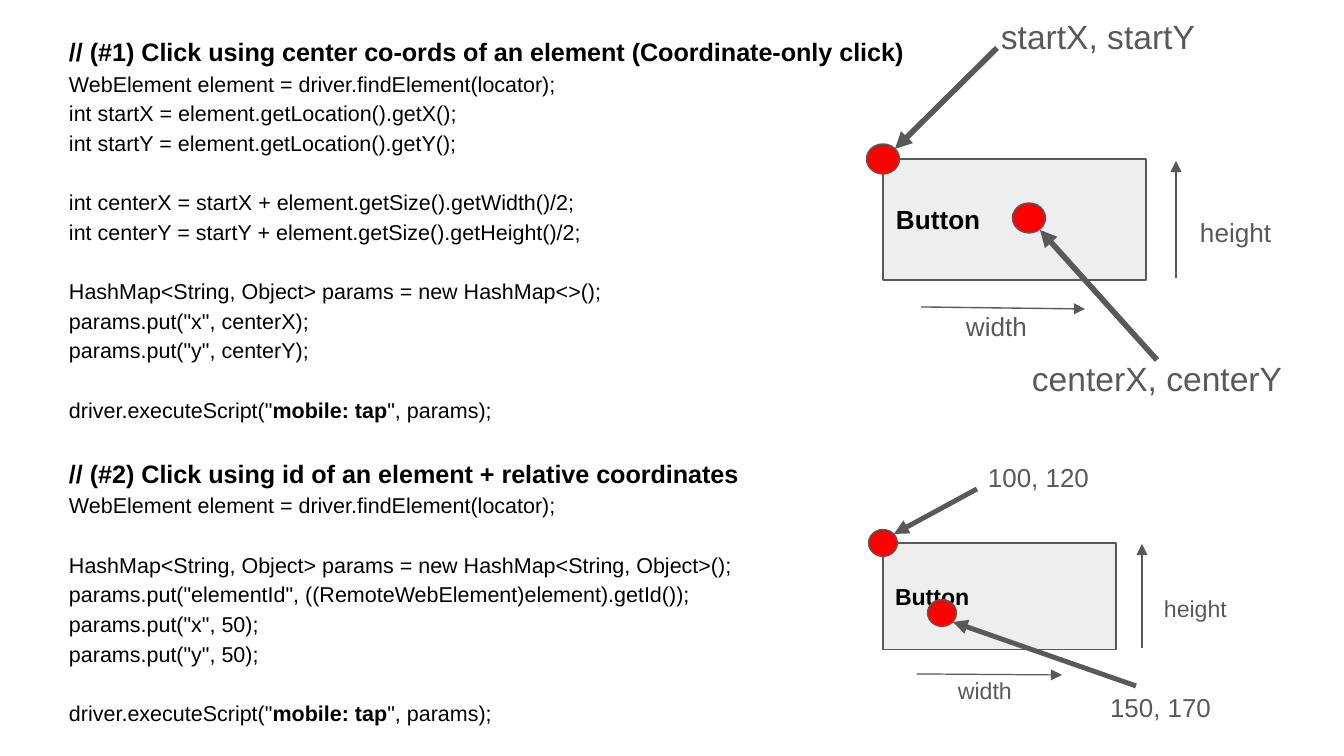
from dataclasses import dataclass

from lxml.etree import SubElement
from pptx import Presentation
from pptx.dml.color import RGBColor
from pptx.enum.shapes import MSO_CONNECTOR, MSO_SHAPE
from pptx.enum.text import MSO_ANCHOR, MSO_AUTO_SIZE, PP_ALIGN
from pptx.oxml.ns import qn
from pptx.util import Emu, Pt

SLIDE_W, SLIDE_H = 1344, 756
EMU_PER_PX = 9144000 / SLIDE_W
FONT = "Arial"
COLORS = {"code": "000000", "label": "595959", "button": "EEEEEE", "dot": "FF0000"}
COMMAND = "mobile: tap"


@dataclass
class CodeLine:
    text: str
    gap: float = 0  # points before the line
    heading: bool = False


@dataclass
class Label:
    text: str
    left: int
    top: int
    width: int
    size: float


@dataclass
class Arrow:
    start: tuple[int, int]
    end: tuple[int, int]
    weight: float


@dataclass
class Diagram:
    """A button with a dot on its corner and a dot on the tapped point."""
    button: tuple[int, int, int, int]
    tap: tuple[int, int]
    dot: tuple[int, int]
    inset: int
    label_height: int
    button_size: float
    outline: float
    arrows: list[Arrow]
    labels: list[Label]


BLANK = 15.9
FIND = "WebElement element = driver.findElement(locator);"
TAP = CodeLine(f'driver.executeScript("{COMMAND}", params);', BLANK)
CODE = [
    CodeLine("// (#1) Click using center co-ords of an element (Coordinate-only click)",
             heading=True),
    CodeLine(FIND),
    CodeLine("int startX = element.getLocation().getX();"),
    CodeLine("int startY = element.getLocation().getY();"),
    CodeLine("int centerX = startX + element.getSize().getWidth()/2;", BLANK),
    CodeLine("int centerY = startY + element.getSize().getHeight()/2;"),
    CodeLine("HashMap<String, Object> params = new HashMap<>();", BLANK),
    CodeLine('params.put("x", centerX);'),
    CodeLine('params.put("y", centerY);'),
    TAP,
    CodeLine("// (#2) Click using id of an element + relative coordinates", 16.8, True),
    CodeLine(FIND),
    CodeLine("HashMap<String, Object> params = new HashMap<String, Object>();", BLANK),
    CodeLine('params.put("elementId", ((RemoteWebElement)element).getId());'),
    CodeLine('params.put("x", 50);'),
    CodeLine('params.put("y", 50);'),
    TAP,
]

DIAGRAMS = [
    Diagram(
        button=(883, 159, 263, 121), tap=(1029, 218), dot=(33, 30), inset=13,
        label_height=31, button_size=14, outline=0.75,
        arrows=[Arrow((997, 48), (895, 149), 3),
                Arrow((921, 307), (1085, 309), 0.75),
                Arrow((1176, 278), (1176, 161), 0.75),
                Arrow((1157, 360), (1040, 230), 3)],
        labels=[Label("startX, startY", 988, 3, 234, 18),
                Label("width", 953, 297, 120, 14),
                Label("height", 1187, 203, 120, 14),
                Label("centerX, centerY", 1019, 345, 314, 18)]),
    Diagram(
        button=(883, 543, 233, 107), tap=(942, 613), dot=(29, 27), inset=12,
        label_height=27, button_size=12.4, outline=0.66,
        arrows=[Arrow((977, 489), (894, 534), 2.65),
                Arrow((917, 674), (1062, 675), 0.66),
                Arrow((1142, 648), (1142, 544), 0.66),
                Arrow((1136, 686), (953, 622), 2.65)],
        labels=[Label("100, 120", 976, 450, 207, 13.9),
                Label("width", 946, 664, 106, 12.4),
                Label("height", 1152, 582, 106, 12.4),
                Label("150, 170", 1098, 680, 172, 13.9)]),
]


def px(length: float) -> Emu:
    return Emu(round(length * EMU_PER_PX))


def add_run(paragraph, text: str, size: float, color: str, bold: bool = False) -> None:
    run = paragraph.add_run()
    run.text = text
    font = run.font
    font.name, font.size, font.bold = FONT, Pt(size), bold
    font.color.rgb = RGBColor.from_string(COLORS[color])


def set_frame(frame, inset: int, anchor=MSO_ANCHOR.TOP) -> None:
    frame.word_wrap = True
    frame.vertical_anchor = anchor
    frame.margin_left = frame.margin_right = px(inset)
    frame.margin_top = frame.margin_bottom = px(inset)


def add_outlined(slide, preset, box: tuple, fill: str, outline: float):
    shape = slide.shapes.add_shape(preset, *map(px, box))
    shape.shadow.inherit = False
    shape.fill.solid()
    shape.fill.fore_color.rgb = RGBColor.from_string(COLORS[fill])
    shape.line.color.rgb = RGBColor.from_string(COLORS["label"])
    shape.line.width = Pt(outline)
    return shape


def add_dot(slide, center: tuple[int, int], diagram: Diagram) -> None:
    width, height = diagram.dot
    box = (center[0] - width / 2, center[1] - height / 2, width, height)
    add_outlined(slide, MSO_SHAPE.OVAL, box, "dot", diagram.outline)


def add_arrow(slide, arrow: Arrow) -> None:
    connector = slide.shapes.add_connector(
        MSO_CONNECTOR.STRAIGHT, *map(px, arrow.start + arrow.end))
    connector.line.color.rgb = RGBColor.from_string(COLORS["label"])
    connector.line.width = Pt(arrow.weight)
    SubElement(connector.line._get_or_add_ln(), qn("a:tailEnd"), type="triangle")
    SubElement(connector._element.spPr, qn("a:effectLst"))


def add_label(slide, label: Label, diagram: Diagram) -> None:
    box = (label.left, label.top, label.width, diagram.label_height)
    frame = slide.shapes.add_textbox(*map(px, box)).text_frame
    set_frame(frame, diagram.inset)
    add_run(frame.paragraphs[0], label.text, label.size, "label")


def add_diagram(slide, diagram: Diagram) -> None:
    button = add_outlined(slide, MSO_SHAPE.RECTANGLE, diagram.button, "button",
                          diagram.outline)
    set_frame(button.text_frame, diagram.inset, MSO_ANCHOR.MIDDLE)
    caption = button.text_frame.paragraphs[0]
    caption.alignment = PP_ALIGN.LEFT
    add_run(caption, "Button", diagram.button_size, "code", bold=True)
    for center in (diagram.button[:2], diagram.tap):
        add_dot(slide, center, diagram)
    for arrow in diagram.arrows:
        add_arrow(slide, arrow)
    for label in diagram.labels:
        add_label(slide, label, diagram)


def add_code(slide, lines: list[CodeLine]) -> None:
    frame = slide.shapes.add_textbox(*map(px, (56, 19, 1165, 757))).text_frame
    set_frame(frame, 13)
    frame.auto_size = MSO_AUTO_SIZE.SHAPE_TO_FIT_TEXT
    for index, line in enumerate(lines):
        paragraph = frame.add_paragraph() if index else frame.paragraphs[0]
        paragraph.line_spacing = 1.15
        paragraph.space_before = Pt(line.gap)
        size = 13.5 if line.heading else 11.5
        for part in filter(None, line.text.partition(COMMAND)):
            add_run(paragraph, part, size, "code", line.heading or part == COMMAND)


def main() -> None:
    deck = Presentation()
    deck.slide_width, deck.slide_height = px(SLIDE_W), px(SLIDE_H)
    slide = deck.slides.add_slide(deck.slide_layouts[6])
    add_code(slide, CODE)
    for diagram in DIAGRAMS:
        add_diagram(slide, diagram)
    deck.save("out.pptx")


if __name__ == "__main__":
    main()
